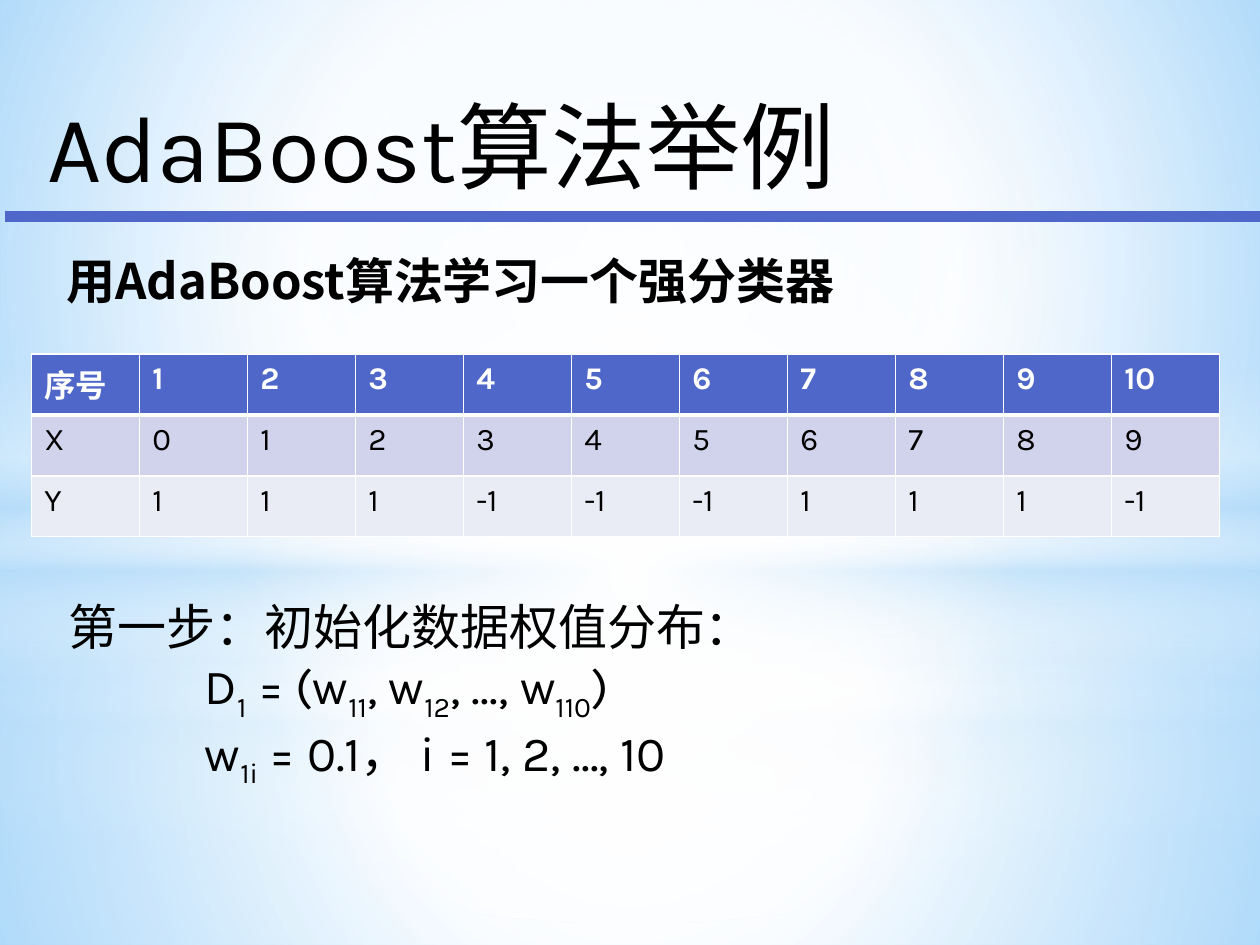
from pptx import Presentation
from pptx.dml.color import RGBColor
from pptx.enum.shapes import MSO_CONNECTOR, MSO_SHAPE
from pptx.enum.text import MSO_ANCHOR, MSO_AUTO_SIZE
from pptx.oxml import parse_xml
from pptx.oxml.ns import nsdecls, qn
from pptx.oxml.xmlchemy import OxmlElement
from pptx.util import Cm, Pt

BLACK = RGBColor(0x00, 0x00, 0x00)
WHITE = RGBColor(0xFF, 0xFF, 0xFF)
INDIGO = RGBColor(0x4E, 0x67, 0xC8)
LAVENDER = RGBColor(0xD0, 0xD3, 0xEB)
PALE_LAVENDER = RGBColor(0xE9, 0xEB, 0xF5)
MIST = RGBColor(0xB4, 0xDC, 0xFA)
SKY = RGBColor(0x9E, 0xD5, 0xFF)
AZURE = RGBColor(0x5B, 0xB9, 0xFF)

LATIN_FONT = "Karla"
CHINESE_FONT = "Noto Sans CJK SC"
WIDTH, HEIGHT = 25.4, 19.05
CENTER = (50, 50, 50, 50)


def fill_gradient(fill, parent, stops, focus=None):
    fill.gradient()
    stop_xml = "".join(
        f'<a:gs pos="{position * 1000}"><a:srgbClr val="{color}">'
        f'<a:alpha val="{opacity * 1000}"/></a:srgbClr></a:gs>'
        for position, color, opacity in stops
    )
    if focus:
        left, top, right, bottom = (value * 1000 for value in focus)
        direction = (
            f'<a:path path="circle"><a:fillToRect l="{left}" t="{top}" '
            f'r="{right}" b="{bottom}"/></a:path>'
        )
    else:
        direction = '<a:lin ang="5400000" scaled="0"/>'
    gradient = parse_xml(
        f'<a:gradFill {nsdecls("a")} rotWithShape="1">'
        f"<a:gsLst>{stop_xml}</a:gsLst>{direction}</a:gradFill>"
    )
    current = next(parent.iter(qn("a:gradFill")))
    current.getparent().replace(current, gradient)


def add_glow(slide, kind, box, stops, focus=None):
    shape = slide.shapes.add_shape(kind, *(Cm(length) for length in box))
    shape.shadow.inherit = False
    shape.line.fill.background()
    fill_gradient(shape.fill, shape.element.spPr, stops, focus)


def add_sky(slide, horizon, opacity_shift, halo_end):
    add_glow(slide, MSO_SHAPE.RECTANGLE, (0, horizon, WIDTH, HEIGHT - horizon),
             [(0, WHITE, 91 + opacity_shift), (37, WHITE, 76 + opacity_shift),
              (100, MIST, 79 + opacity_shift)], CENTER)
    add_glow(slide, MSO_SHAPE.RECTANGLE, (0, 0, WIDTH, horizon),
             [(0, WHITE, 89 + opacity_shift), (48, WHITE, 62 + opacity_shift),
              (100, MIST, 79 + opacity_shift)], CENTER)
    add_glow(slide, MSO_SHAPE.RECTANGLE, (0, horizon - 3.38 - opacity_shift * 0, WIDTH, 6.35)
             if opacity_shift else (0, horizon - 3.71, WIDTH, 6.35),
             [(0, WHITE, 0), (29, WHITE, 30), (45, MIST, 40),
              (55, WHITE, 26), (65, MIST, 60), (100, WHITE, 0)])
    add_glow(slide, MSO_SHAPE.OVAL, (0, 4.45, WIDTH, 14.17),
             [(0, WHITE, 100), (halo_end, WHITE, 0)], CENTER)


def write_text(paragraph, text, size, color=BLACK, bold=False, font=LATIN_FONT, indent=0):
    if indent:
        paragraph._p.get_or_add_pPr().set("indent", str(Cm(indent)))
    for index, part in enumerate(text.split("|")):
        run = paragraph.add_run()
        run.text = part
        run.font.size = Pt(size)
        run.font.name = font
        run.font.bold = bold
        run.font.color.rgb = color
        properties = run._r.get_or_add_rPr()
        east_asian = OxmlElement("a:ea")
        east_asian.set("typeface", CHINESE_FONT)
        properties.find(qn("a:latin")).addnext(east_asian)
        if index % 2:
            properties.set("baseline", "-25000")


def add_text_frame(slide, box, anchor=MSO_ANCHOR.TOP):
    frame = slide.shapes.add_textbox(*(Cm(length) for length in box)).text_frame
    frame.word_wrap = True
    frame.auto_size = MSO_AUTO_SIZE.NONE
    frame.vertical_anchor = anchor
    return frame


def add_header(slide, left, top, width, height):
    frame = add_text_frame(slide, (left, top, width, height), MSO_ANCHOR.MIDDLE)
    write_text(frame.paragraphs[0], "AdaBoost算法举例", size=54)
    rule_top = Cm(top + height + 0.05)
    rule = slide.shapes.add_connector(
        MSO_CONNECTOR.STRAIGHT, Cm(0.1), rule_top, Cm(WIDTH), rule_top)
    rule.line.color.rgb = INDIGO
    rule.line.width = Pt(6.25)
    rule._element.spPr.append(OxmlElement("a:effectLst"))


def set_borders(cell, bottom_width):
    properties = cell._tc.get_or_add_tcPr()
    widths = {"L": 1, "R": 1, "T": 1, "B": bottom_width}
    for index, (side, width) in enumerate(widths.items()):
        properties.insert(index, parse_xml(
            f'<a:ln{side} {nsdecls("a")} w="{Pt(width)}"><a:solidFill>'
            f'<a:srgbClr val="{WHITE}"/></a:solidFill></a:ln{side}>'))


def add_data_table(slide, left, top, width, height):
    rows = [
        ["序号", *range(1, 11)],
        ["X", *range(10)],
        ["Y", 1, 1, 1, -1, -1, -1, 1, 1, 1, -1],
    ]
    fills = [INDIGO, LAVENDER, PALE_LAVENDER]
    table = slide.shapes.add_table(
        len(rows), len(rows[0]), Cm(left), Cm(top), Cm(width), Cm(height)).table
    for row_index, (values, fill) in enumerate(zip(rows, fills)):
        is_header = row_index == 0
        for column_index, value in enumerate(values):
            cell = table.cell(row_index, column_index)
            cell.fill.solid()
            cell.fill.fore_color.rgb = fill
            set_borders(cell, bottom_width=3 if is_header else 1)
            write_text(cell.text_frame.paragraphs[0], str(value), size=18,
                       color=WHITE if is_header else BLACK, bold=is_header)


def add_subtitle(slide, left, top, width, height):
    frame = add_text_frame(slide, (left, top, width, height))
    write_text(frame.paragraphs[0], "用AdaBoost算法学习一个强分类器",
               size=28, bold=True, font=CHINESE_FONT)


def add_first_step(slide, left, top, width, height):
    frame = add_text_frame(slide, (left, top, width, height))
    write_text(frame.paragraphs[0], "第一步：初始化数据权值分布：", size=28)
    for formula in ("D|1| = (w|11|, w|12|, ..., w|110|)",
                    "w|1i| = 0.1， i = 1, 2, ..., 10"):
        write_text(frame.add_paragraph(), formula, size=28, indent=2.74)


def main():
    presentation = Presentation()
    presentation.slide_width = Cm(WIDTH)
    presentation.slide_height = Cm(HEIGHT)
    slide = presentation.slides.add_slide(presentation.slide_layouts[6])
    fill_gradient(slide.background.fill, slide.element,
                  [(0, SKY, 100), (60, WHITE, 100), (100, AZURE, 100)], (20, 10, 20, 60))
    add_sky(slide, horizon=14.17, opacity_shift=0, halo_end=56)
    add_sky(slide, horizon=10.74, opacity_shift=1, halo_end=54)
    add_header(slide, 0.71, 1.52, 24, 2.8)
    add_data_table(slide, 0.64, 7.14, 23.95, 3.68)
    add_subtitle(slide, 1.09, 4.93, 17.2, 1.45)
    add_first_step(slide, 1.14, 11.91, 16.76, 3.84)
    presentation.save("out.pptx")


if __name__ == "__main__":
    main()
